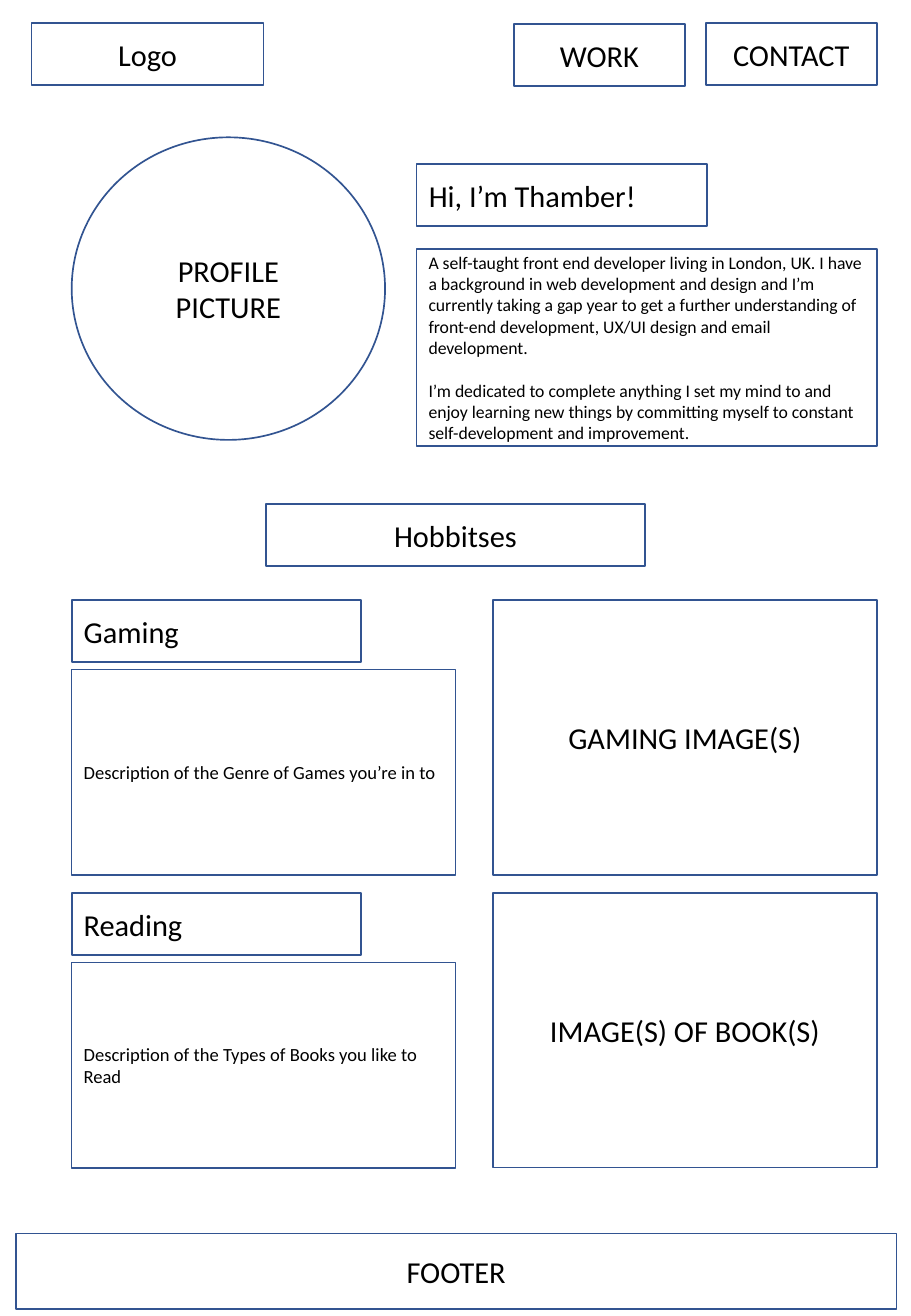
"""Build a one-page portfolio website wireframe."""
from pptx import Presentation
from pptx.dml.color import RGBColor
from pptx.enum.shapes import MSO_SHAPE
from pptx.enum.text import MSO_ANCHOR, MSO_AUTO_SIZE, PP_ALIGN
from pptx.util import Pt

PX = 9144
BLUE = RGBColor(0x32, 0x54, 0x91)
BLACK = RGBColor(0, 0, 0)
RECT, OVAL = MSO_SHAPE.RECTANGLE, MSO_SHAPE.OVAL
LEFT, CENTER = PP_ALIGN.LEFT, PP_ALIGN.CENTER
MIDDLE = MSO_ANCHOR.MIDDLE
NO_FIT = MSO_AUTO_SIZE.NONE

prs = Presentation()
prs.slide_width, prs.slide_height = 750 * PX, 1083 * PX
s = prs.slides.add_slide(prs.slide_layouts[5])


def add_box(text, x, y, w, h, size=18, align=CENTER, kind=RECT, sp=None, gap=0):
    """Outline a box and fill it with one paragraph per line of text."""
    if sp is None:
        sp = s.shapes.add_shape(kind, 0, 0, 0, 0)
        sp.shadow.inherit = False
    sp.left, sp.top, sp.width, sp.height = x * PX, y * PX, w * PX, h * PX
    sp.fill.background()
    sp.line.color.rgb = BLUE
    sp.line.width = Pt(1)
    tf = sp.text_frame
    tf.text = text
    tf.word_wrap = True
    tf.auto_size = NO_FIT
    tf.vertical_anchor = MIDDLE
    for i, p in enumerate(tf.paragraphs):
        p.alignment = align
        p.space_before = Pt(gap if i else 0)
        for r in p.runs:
            r.font.name = "Calibri"
            r.font.size = Pt(size)
            r.font.color.rgb = BLACK


BAR_H = 51
MARGIN, RIGHT_EDGE = 59, 722

add_box("Logo", 26, 19, 191, BAR_H)
add_box("WORK", 423, 20, 141, BAR_H)
add_box("CONTACT", 581, 19, 141, BAR_H)

INTRO_X = 343
INTRO = (
    "A self-taught front end developer living in London, UK. I have a background "
    "in web development and design and I’m currently taking a gap year to get a "
    "further understanding of front-end development, UX/UI design and email "
    "development.\n"
    "I’m dedicated to complete anything I set my mind to and enjoy learning new "
    "things by committing myself to constant self-development and improvement."
)
add_box("PROFILE PICTURE", MARGIN, 113, 258, 249, kind=OVAL)
add_box("Hi, I’m Thamber!", INTRO_X, 135, 239, BAR_H, align=LEFT, sp=s.shapes.title)
add_box(INTRO, INTRO_X, 205, RIGHT_EDGE - INTRO_X, 162, size=10.5, align=LEFT, gap=12.8)

add_box("Hobbitses", 219, 415, 312, BAR_H)

HOBBIES = [
    ("Gaming", "Description of the Genre of Games you’re in to", "GAMING IMAGE(S)"),
    ("Reading", "Description of the Types of Books you like to Read", "IMAGE(S) OF BOOK(S)"),
]
HOBBY_TOP, HOBBY_STEP = 494, 241
CARD_W, CARD_H, TEXT_H = 316, 226, 169
for i, (name, description, image) in enumerate(HOBBIES):
    y = HOBBY_TOP + i * HOBBY_STEP
    add_box(name, MARGIN, y, 238, BAR_H, align=LEFT)
    add_box(description, MARGIN, y + CARD_H - TEXT_H, CARD_W, TEXT_H, size=11, align=LEFT)
    add_box(image, RIGHT_EDGE - CARD_W, y, CARD_W, CARD_H)

add_box("FOOTER", 13, 1015, 725, 62)

prs.save("out.pptx")
